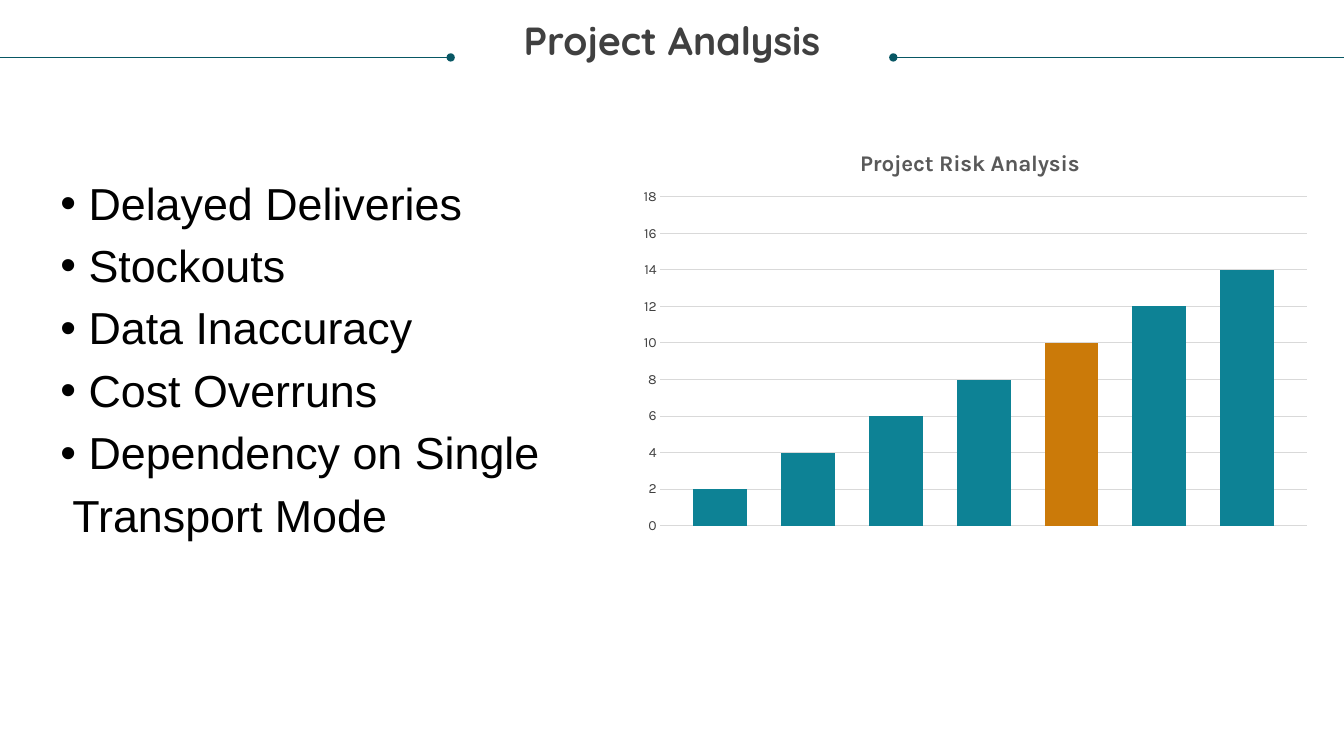
from lxml import etree
from pptx import Presentation
from pptx import util as u
from pptx.chart.data import CategoryChartData
from pptx.dml.color import RGBColor
from pptx.enum import chart as charts, shapes, text
from pptx.oxml import ns

TEAL = RGBColor(0x0D, 0x82, 0x95)
ORANGE = RGBColor(0xCB, 0x7A, 0x09)
DARK_TEAL = RGBColor(0x08, 0x57, 0x64)
DARK_GREY = RGBColor(0x40, 0x40, 0x40)
MID_GREY = RGBColor(0x59, 0x59, 0x59)
GRID_GREY = RGBColor(0xD9, 0xD9, 0xD9)
BLACK = RGBColor(0, 0, 0)

SLIDE_WIDTH = 13.33
RULE_TOP = 0.57
RULE_LENGTH = 4.47
RISKS = ["Delayed Deliveries", "Stockouts", "Data Inaccuracy",
         "Cost Overruns", "Dependency on Single"]
RISK_VALUES = [2, 4, 6, 8, 10, 12, 14]
HIGHLIGHTED_VALUE = 10


def style_font(font, name, size, color, bold=False):
    font.name = name
    font.size = u.Pt(size)
    font.bold = bold
    font.color.rgb = color


def add_text_box(slide, left, top, width, height):
    box = slide.shapes.add_textbox(*map(u.Inches, (left, top, width, height)))
    box.text_frame.word_wrap = True
    return box.text_frame


def add_title(slide, title):
    frame = add_text_box(slide, 0.25, 0.21, 12.83, 0.73)
    frame.margin_left = frame.margin_right = 0
    frame.margin_top = frame.margin_bottom = 0
    paragraph = frame.paragraphs[0]
    paragraph.alignment = text.PP_ALIGN.CENTER
    paragraph.line_spacing = 0.9
    run = paragraph.add_run()
    run.text = title
    style_font(run.font, "Quicksand", 28, DARK_GREY, bold=True)


def add_dotted_rule(slide, edge, dot):
    rule = slide.shapes.add_connector(
        shapes.MSO_CONNECTOR.STRAIGHT,
        *map(u.Inches, (edge, RULE_TOP, dot, RULE_TOP)))
    rule.line.color.rgb = DARK_TEAL
    rule.line.width = u.Pt(0.5)
    properties = rule._element.spPr
    line = properties.find(ns.qn("a:ln"))
    etree.SubElement(line, ns.qn("a:tailEnd"), type="oval")
    etree.SubElement(properties, ns.qn("a:effectLst"))


def add_list_line(paragraph, wording, margin, bullet=False):
    paragraph.line_spacing = 0.9
    paragraph.space_before = u.Pt(10)
    properties = paragraph._p.get_or_add_pPr()
    properties.set("marL", str(u.Inches(margin)))
    properties.set("indent", str(u.Inches(-margin if bullet else 0)))
    if bullet:
        etree.SubElement(properties, ns.qn("a:buFont"), typeface="Arial")
        etree.SubElement(properties, ns.qn("a:buChar"), char="•")
    else:
        etree.SubElement(properties, ns.qn("a:buNone"))
    run = paragraph.add_run()
    run.text = wording
    style_font(run.font, "Arial", 32, BLACK)


def add_risk_list(slide):
    frame = add_text_box(slide, 0.5, 1.75, 5.24, 4.95)
    paragraph = frame.paragraphs[0]
    for risk in RISKS:
        add_list_line(paragraph, risk, 0.28, bullet=True)
        paragraph = frame.add_paragraph()
    add_list_line(paragraph, "Transport Mode", 0.12)


def place_plot(chart, left, top, width, height):
    plot_area = chart._chartSpace.chart.plotArea
    for layout in plot_area.findall(ns.qn("c:layout")):
        plot_area.remove(layout)
    layout = etree.Element(ns.qn("c:layout"))
    manual = etree.SubElement(layout, ns.qn("c:manualLayout"))
    settings = {"layoutTarget": "inner", "xMode": "edge", "yMode": "edge",
                "x": left, "y": top, "w": width, "h": height}
    for name, value in settings.items():
        etree.SubElement(manual, ns.qn(f"c:{name}"), val=str(value))
    plot_area.insert(0, layout)


def style_value_axis(axis):
    axis.minimum_scale, axis.maximum_scale, axis.major_unit = 0, 18, 2
    axis.major_tick_mark = charts.XL_TICK_MARK.NONE
    axis.format.line.fill.background()
    axis.major_gridlines.format.line.color.rgb = GRID_GREY
    axis.major_gridlines.format.line.width = u.Pt(0.75)
    style_font(axis.tick_labels.font, "Karla", 10, DARK_GREY)


def add_risk_chart(slide):
    data = CategoryChartData()
    data.categories = ["1"]
    for number, value in enumerate(RISK_VALUES, start=1):
        data.add_series(f"Series {number}", [value])
    chart = slide.shapes.add_chart(
        charts.XL_CHART_TYPE.COLUMN_CLUSTERED,
        *map(u.Inches, (6.21, 1.3, 6.82, 4.08)), data).chart
    style_font(chart.font, "Karla", 10, BLACK)
    chart.has_legend = False
    chart.has_title = True
    run = chart.chart_title.text_frame.paragraphs[0].add_run()
    run.text = "Project Risk Analysis"
    style_font(run.font, "Karla", 16, MID_GREY, bold=True)
    chart.chart_title.include_in_layout = False
    chart.category_axis.visible = False
    style_value_axis(chart.value_axis)
    plot = chart.plots[0]
    plot.gap_width, plot.overlap = 121, -63
    plot.vary_by_categories = False
    for series, value in zip(plot.series, RISK_VALUES):
        series.format.fill.solid()
        highlighted = value == HIGHLIGHTED_VALUE
        series.format.fill.fore_color.rgb = ORANGE if highlighted else TEAL
    place_plot(chart, 0.05, 0.16, 0.94, 0.8)


def main():
    presentation = Presentation()
    presentation.slide_width = u.Inches(SLIDE_WIDTH)
    presentation.slide_height = u.Inches(7.5)
    slide = presentation.slides.add_slide(presentation.slide_layouts[6])
    add_dotted_rule(slide, SLIDE_WIDTH, SLIDE_WIDTH - RULE_LENGTH)
    add_title(slide, "Project Analysis")
    add_dotted_rule(slide, 0, RULE_LENGTH)
    add_risk_chart(slide)
    add_risk_list(slide)
    presentation.save("out.pptx")


if __name__ == "__main__":
    main()
